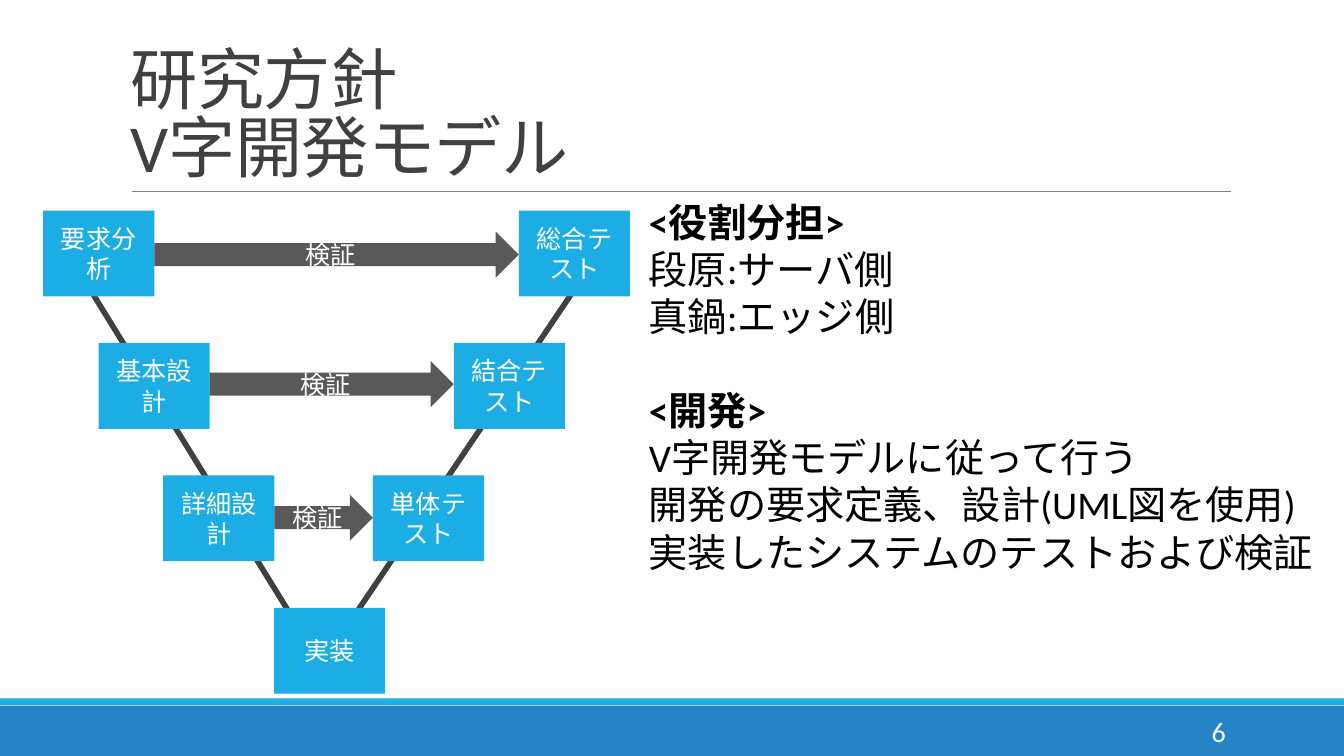
from lxml.etree import SubElement
from pptx import Presentation
from pptx.dml.color import RGBColor
from pptx.enum.shapes import MSO_CONNECTOR, MSO_SHAPE
from pptx.enum.text import MSO_ANCHOR, PP_ALIGN
from pptx.oxml.ns import qn
from pptx.util import Pt

WHITE = RGBColor(0xFF, 0xFF, 0xFF)
BLACK = RGBColor(0x00, 0x00, 0x00)
SKY = RGBColor(0x1C, 0xAD, 0xE4)
BLUE = RGBColor(0x26, 0x83, 0xC6)
DARK = RGBColor(0x40, 0x40, 0x40)
ARROW = RGBColor(0x59, 0x59, 0x59)
RULE = RGBColor(0x80, 0x80, 0x80)

BOX_W, BOX_H = 79.4, 61.3
ARROW_H = 33
FIRST_TOP, PITCH = 150.4, 94.6


def add_text(tf, text, size=18, color=WHITE, font="Calibri", bold=False,
             align=PP_ALIGN.LEFT, before=0, spacing=None, tracking=None):
    p = tf.paragraphs[0]
    if p.runs:
        p = tf.add_paragraph()
    p.alignment = align
    p.space_before = Pt(before)
    if spacing:
        p.line_spacing = spacing
    r = p.add_run()
    r.text = text
    r.font.name = font
    r.font.size = Pt(size)
    r.font.bold = bold
    r.font.color.rgb = color
    if tracking:
        r.font._element.set("spc", str(int(tracking * 100)))


class Slide:
    def __init__(self, prs):
        self.s = prs.slides.add_slide(prs.slide_layouts[6])

    def shape(self, kind, x, y, w, h, fill, text=None):
        sp = self.s.shapes.add_shape(kind, Pt(x), Pt(y), Pt(w), Pt(h))
        sp.shadow.inherit = False
        sp.fill.solid()
        sp.fill.fore_color.rgb = fill
        sp.line.fill.background()
        if text:
            tf = sp.text_frame
            tf.word_wrap = True
            tf.vertical_anchor = MSO_ANCHOR.MIDDLE
            add_text(tf, text, align=PP_ALIGN.CENTER)

    def line(self, x1, y1, x2, y2, color, width):
        cn = self.s.shapes.add_connector(
            MSO_CONNECTOR.STRAIGHT, Pt(x1), Pt(y1), Pt(x2), Pt(y2))
        cn.line.color.rgb = color
        cn.line.width = Pt(width)
        SubElement(cn._element.spPr, qn("a:effectLst"))

    def text_box(self, x, y, w, h, anchor=MSO_ANCHOR.TOP):
        tf = self.s.shapes.add_textbox(Pt(x), Pt(y), Pt(w), Pt(h)).text_frame
        tf.word_wrap = True
        tf.vertical_anchor = anchor
        return tf


def main():
    prs = Presentation()
    prs.slide_width, prs.slide_height = Pt(960), Pt(540)
    s = Slide(prs)

    s.shape(MSO_SHAPE.RECTANGLE, 0, 504, 960, 36, BLUE)
    s.shape(MSO_SHAPE.RECTANGLE, 0, 498.8, 960, 5, SKY)
    s.line(94.3, 136.8, 879, 136.8, RULE, 0.5)

    title = s.text_box(86.4, 22.3, 792, 114.5, MSO_ANCHOR.BOTTOM)
    for text in ("研究方針", "V字開発モデル"):
        add_text(title, text, size=48, color=DARK, spacing=0.85, tracking=-0.5)

    number = s.text_box(780, 508.3, 102.7, 28.8, MSO_ANCHOR.MIDDLE)
    add_text(number, "6", size=20, align=PP_ALIGN.RIGHT)

    s.line(250.6, 443.5, 422.6, 188.6, DARK, 4)
    s.line(59, 198, 223.2, 464.4, DARK, 4)

    levels = [
        ("要求分析", 30.8, "総合テスト", 370.6, 165.4),
        ("基本設計", 70.4, "結合テスト", 324.1, 257.9),
        ("詳細設計", 116.6, "単体テスト", 266.4, 353.3),
    ]
    for i, (design, left, test, right, arrow_top) in enumerate(levels):
        top = FIRST_TOP + i * PITCH
        s.shape(MSO_SHAPE.RECTANGLE, left, top, BOX_W, BOX_H, SKY, design)
        s.shape(MSO_SHAPE.RECTANGLE, right, top, BOX_W, BOX_H, SKY, test)
        s.shape(MSO_SHAPE.RIGHT_ARROW, left + BOX_W, arrow_top,
                right - left - BOX_W, ARROW_H, ARROW, "検証")
    s.shape(MSO_SHAPE.RECTANGLE, 195.8, FIRST_TOP + len(levels) * PITCH,
            BOX_W, BOX_H, SKY, "実装")

    sections = [
        ("<役割分担>", 0, ["段原:サーバ側", "真鍋:エッジ側"]),
        ("<開発>", 33.6, ["V字開発モデルに従って行う",
                        "開発の要求定義、設計(UML図を使用)",
                        "実装したシステムのテストおよび検証"]),
    ]
    body = s.text_box(456.4, 138.2, 521.3, 278.6)
    for heading, gap, lines in sections:
        add_text(body, heading, size=28, color=BLACK, bold=True, before=gap)
        for text in lines:
            add_text(body, text, size=28, color=BLACK)

    prs.save("out.pptx")


if __name__ == "__main__":
    main()
